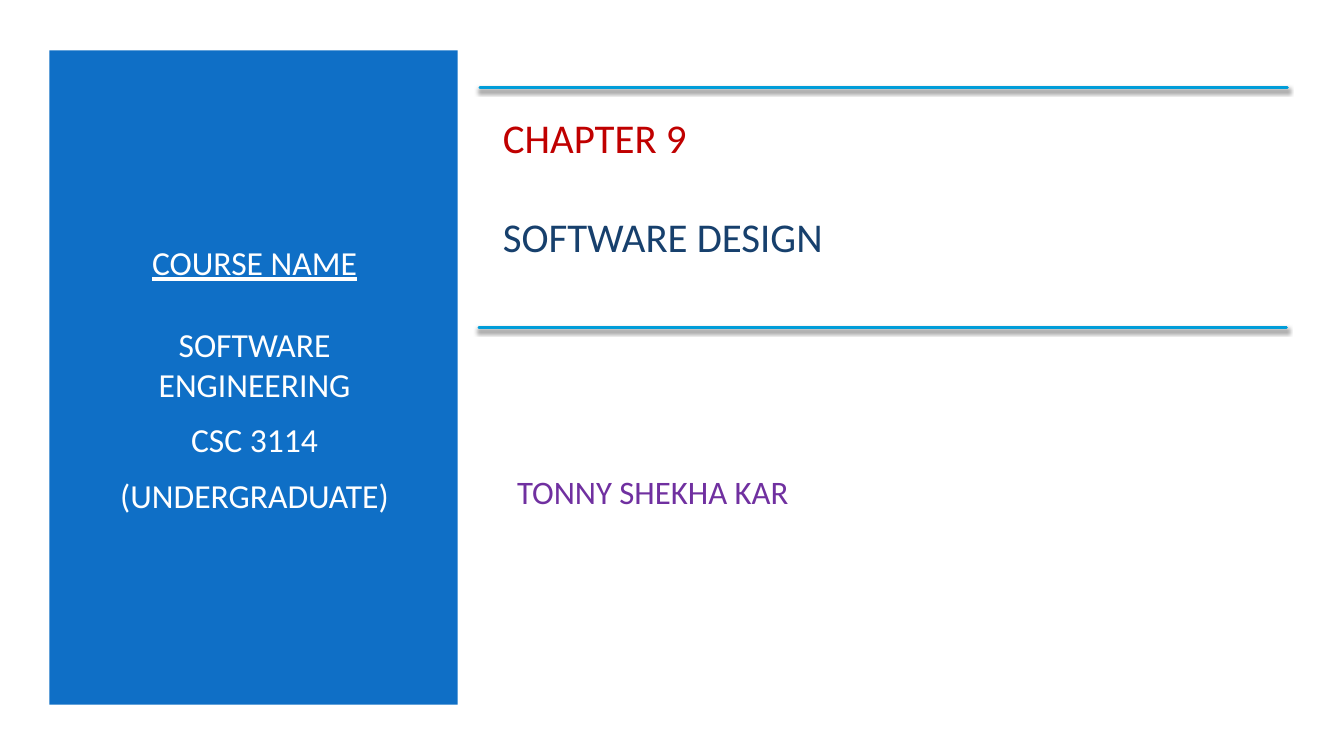
import pptx
import pptx.util
import pptx.dml.color
import pptx.enum.shapes
import pptx.enum.text
import pptx.oxml
import pptx.oxml.ns

Inches, Pt = pptx.util.Inches, pptx.util.Pt
ALIGN = pptx.enum.text.PP_ALIGN
LINE_HEIGHT = 1.22


def rgb(value):
    """Return the colour for a hex string."""
    return pptx.dml.color.RGBColor.from_string(value)


def add_rect(slide, x, y, w, h, color):
    """Draw a plain filled rectangle."""
    sp = slide.shapes.add_shape(pptx.enum.shapes.MSO_SHAPE.RECTANGLE,
                                Inches(x), Inches(y), Inches(w), Inches(h))
    sp.shadow.inherit = False
    sp.fill.solid()
    sp.fill.fore_color.rgb = rgb(color)
    sp.line.fill.background()


def add_frame(slide, x, y, w, h):
    """Add a wrapping, vertically centred text box and return its frame."""
    tf = slide.shapes.add_textbox(Inches(x), Inches(y), Inches(w), Inches(h)).text_frame
    tf.word_wrap = True
    tf.vertical_anchor = pptx.enum.text.MSO_ANCHOR.MIDDLE
    return tf


def add_text(tf, text, size=24, color="FFFFFF", align=ALIGN.LEFT,
             underline=False, before=0, after=0):
    """Write one formatted paragraph into a text frame."""
    p = tf.paragraphs[0] if not tf.paragraphs[0].runs else tf.add_paragraph()
    p.alignment = align
    p.space_before, p.space_after = Pt(before), Pt(after)
    r = p.add_run()
    r.text = text
    r.font.name = "Calibri"
    r.font.size = Pt(size)
    r.font.underline = underline
    r.font.color.rgb = rgb(color)


def add_rule(slide, x, y, w):
    """Draw a horizontal rule with a soft shadow beneath it."""
    line = slide.shapes.add_connector(pptx.enum.shapes.MSO_CONNECTOR.STRAIGHT,
                                      Inches(x), Inches(y), Inches(x + w), Inches(y))
    line.line.color.rgb = rgb("009DD9")
    line.line.width = Pt(2)
    line.line._get_or_add_ln().set("cap", "rnd")
    line._element.spPr.append(pptx.oxml.parse_xml(
        f'<a:effectLst {pptx.oxml.ns.nsdecls("a")}>'
        f'<a:outerShdw blurRad="{Pt(3)}" dist="{Pt(2)}" dir="5400000" rotWithShape="0">'
        '<a:srgbClr val="000000"><a:alpha val="55000"/></a:srgbClr>'
        '</a:outerShdw></a:effectLst>'))


def course_panel(slide, x, y, w, h):
    """Build the blue panel that names the course."""
    add_rect(slide, x, y, w, h, "0F6FC6")
    tf = add_frame(slide, x + 0.35, y + 0.63, w - 0.68, h - 1.24)
    add_text(tf, "COURSE NAME", align=ALIGN.CENTER, underline=True,
             after=24 * LINE_HEIGHT)
    add_text(tf, "SOFTWARE ENGINEERING", align=ALIGN.CENTER, after=6)
    for text in ("CSC 3114", "(UNDERGRADUATE)"):
        add_text(tf, text, align=ALIGN.CENTER, before=4.8, after=6)


def chapter_heading(slide, x, y, w, h):
    """Build the chapter title between its two rules."""
    tf = add_frame(slide, x + 0.13, y + 0.23, w - 0.16, 1.51)
    add_text(tf, "CHAPTER 9", size=29.2, color="C00000", after=29.2 * LINE_HEIGHT)
    add_text(tf, "SOFTWARE DESIGN", size=29.2, color="17406D")
    add_rule(slide, x, y, w)
    add_rule(slide, x - 0.01, y + h, w)


def author_line(slide, x, y, w, h):
    """Build the author's name."""
    tf = add_frame(slide, x, y, w, h)
    add_text(tf, "TONNY SHEKHA KAR", size=23.4, color="7030A0")


def main():
    """Build and save the slide."""
    prs = pptx.Presentation()
    prs.slide_width, prs.slide_height = Inches(13.33), Inches(7.5)
    slide = prs.slides.add_slide(prs.slide_layouts[6])
    add_rect(slide, 0, 0, 13.33, 7.5, "FFFFFF")
    course_panel(slide, 0.49, 0.5, 4.05, 6.49)
    chapter_heading(slide, 4.76, 0.87, 8.01, 2.38)
    author_line(slide, 5.03, 4.1, 6.66, 1.56)
    prs.save("out.pptx")


if __name__ == "__main__":
    main()
